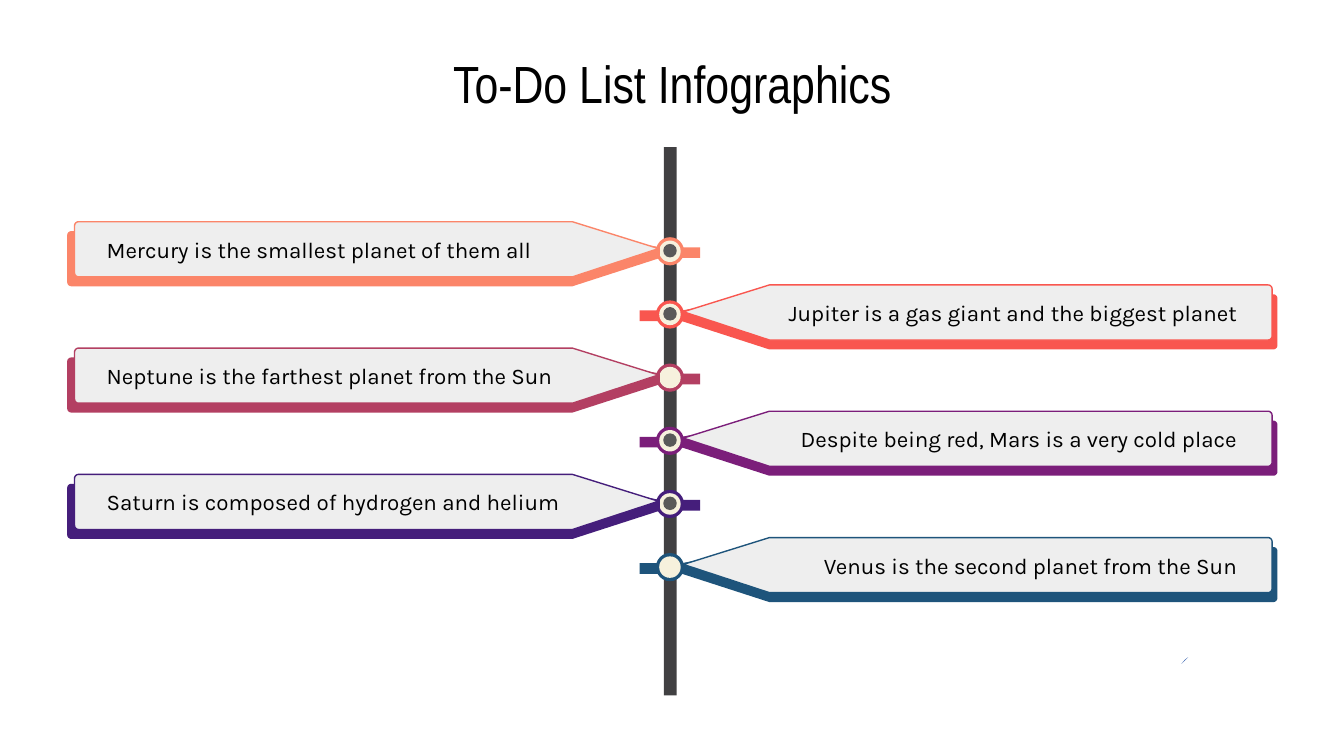
"""Build a to-do list timeline with banners on both sides of a spine."""
from dataclasses import dataclass
from math import cos, radians, sin

from pptx import Presentation
from pptx import util as u
from pptx.dml.color import RGBColor
from pptx.enum import shapes, text

WIDTH = u.Inches(10)
HEIGHT = WIDTH * 9 // 16
CELL = WIDTH // 1000
AXIS, FIRST_ROW, ROW_STEP = 498.5, 187, 47
CORNER = 3
CREAM, GREY, DOT, SPINE, BLACK, BLUE = "F6F1DD", "EEEEEE", "595959", "414042", "000000", "3561AF"


@dataclass(frozen=True)
class Side:
    """Columns of a banner that lies on one side of the spine."""
    shadow_edge: float
    face_edge: float
    shoulder: float
    shadow_tip: float
    face_tip: float
    label_left: float
    align: text.PP_ALIGN


@dataclass(frozen=True)
class Task:
    """One entry of the list."""
    label: str
    colour: str
    side: Side
    done: bool = True


LEFT = Side(50, 55.5, 426, 491, 490, 69.5, text.PP_ALIGN.LEFT)
RIGHT = Side(950.5, 946.5, 572.5, 507.5, 508.5, 560.5, text.PP_ALIGN.RIGHT)
TASKS = [
    Task("Mercury is the smallest planet of them all", "FB8569", LEFT),
    Task("Jupiter is a gas giant and the biggest planet", "F9564F", RIGHT),
    Task("Neptune is the farthest planet from the Sun", "B33F62", LEFT, False),
    Task("Despite being red, Mars is a very cold place", "7B1E7A", RIGHT),
    Task("Saturn is composed of hydrogen and helium", "451E7B", LEFT),
    Task("Venus is the second planet from the Sun", "1E547B", RIGHT, False),
]


def cells(*counts: float) -> list[int]:
    """Turn grid cells into slide lengths."""
    return [round(count * CELL) for count in counts]


def paint(shape, fill: str, line: str | None = None) -> None:
    """Set fill and outline, without a shadow."""
    shape.shadow.inherit = False
    shape.fill.solid()
    shape.fill.fore_color.rgb = RGBColor.from_string(fill)
    if line:
        shape.line.color.rgb = RGBColor.from_string(line)
        shape.line.width = u.Pt(0.75)
    else:
        shape.line.fill.background()


def add_rectangle(page, left: float, top: float, width: float, height: float, fill: str) -> None:
    """Draw a plain bar."""
    kind = shapes.MSO_SHAPE.RECTANGLE
    paint(page.shapes.add_shape(kind, *cells(left, top, width, height)), fill)


def add_circle(page, row: float, size: float, fill: str, line: str | None = None) -> None:
    """Draw a circle centred on the spine."""
    place = cells(AXIS - size / 2, row - size / 2, size, size)
    paint(page.shapes.add_shape(shapes.MSO_SHAPE.OVAL, *place), fill, line)


def add_label(page, place: tuple, words: str, font: str, size: float, align: text.PP_ALIGN) -> None:
    """Write one line of text, centred in height."""
    box = page.shapes.add_textbox(*cells(*place))
    frame = box.text_frame
    frame.text = words
    frame.word_wrap = True
    frame.vertical_anchor = text.MSO_ANCHOR.MIDDLE
    para = frame.paragraphs[0]
    para.alignment = align
    span = para.runs[0]
    span.font.name = font
    span.font.size = u.Pt(size)
    span.font.color.rgb = RGBColor.from_string(BLACK)


def add_outline(page, outline: list, fill: str, line: str | None = None) -> None:
    """Draw a closed outline through grid points."""
    points = [cells(*point) for point in outline]
    builder = page.shapes.build_freeform(*points[0], scale=1.0)
    builder.add_line_segments(points[1:], close=True)
    paint(builder.convert_to_shape(), fill, line)


def add_banner(page, edge: float, shoulder: float, top: float, tip: list, fill: str,
               line: str | None = None) -> None:
    """Draw a banner with two rounded corners and a pointed end."""
    bottom = top + 41
    inward = CORNER if shoulder > edge else -CORNER
    steps = [(cos(radians(a)), sin(radians(a))) for a in range(0, 91, 15)]
    lower = [(edge + inward * (1 - s), bottom - CORNER * (1 - c)) for c, s in steps]
    upper = [(edge + inward * (1 - c), top + CORNER * (1 - s)) for c, s in steps]
    outline = [(shoulder, top), *tip, (shoulder, bottom), *lower, *upper]
    add_outline(page, outline, fill, line)


def add_task(page, task: Task, row: float) -> None:
    """Draw the marker, banner and label of one task."""
    side = task.side
    add_rectangle(page, 476, row - 3, 45, 8, task.colour)
    add_circle(page, row, 21, task.colour)
    add_circle(page, row, 16, CREAM)
    blunt_tip = [(side.shadow_tip, row - 3), (side.shadow_tip, row + 5)]
    add_banner(page, side.shadow_edge, side.shoulder, row - 15, blunt_tip, task.colour)
    sharp_tip = [(side.face_tip, row - 2)]
    add_banner(page, side.face_edge, side.shoulder, row - 22, sharp_tip, GREY, task.colour)
    place = (side.label_left, row - 21, 370, 39)
    add_label(page, place, task.label, "Karla", 12, side.align)
    if task.done:
        add_circle(page, row - 0.5, 9, DOT, DOT)


def main() -> None:
    """Build and save the deck."""
    deck = Presentation()
    deck.slide_width, deck.slide_height = WIDTH, HEIGHT
    page = deck.slides.add_slide(deck.slide_layouts[6])
    title_place = (77.5, 35, 845, 53)
    add_label(page, title_place, "To-Do List Infographics", "Arial Narrow", 28, text.PP_ALIGN.CENTER)
    add_rectangle(page, 494, 109.5, 9.5, 408, SPINE)
    add_outline(page, [(884, 489), (881.5, 491), (879, 494)], BLUE)
    for index, task in enumerate(TASKS):
        add_task(page, task, FIRST_ROW + index * ROW_STEP)
    deck.save("out.pptx")


if __name__ == "__main__":
    main()
